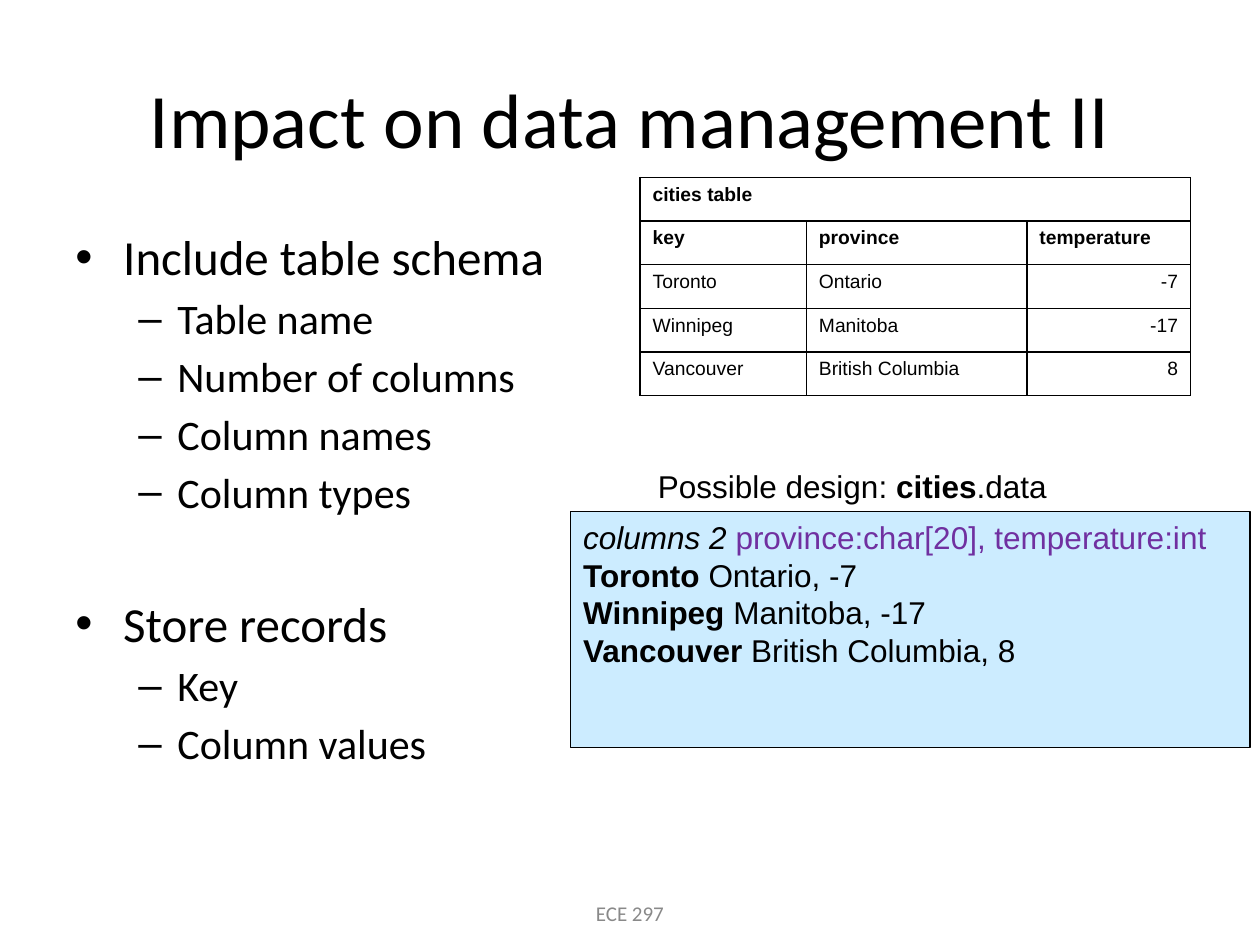
from dataclasses import dataclass
from lxml.etree import SubElement
from pptx import Presentation
from pptx.dml.color import RGBColor
from pptx.enum.shapes import MSO_SHAPE
from pptx.enum.text import MSO_ANCHOR, PP_ALIGN
from pptx.oxml.ns import qn
from pptx.util import Emu, Inches, Pt

WIDE, HIGH = 10, 7.5
HUES = {"ink": "000000", "gray": "898989", "type": "7030A0", "panel": "CCECFF"}


@dataclass
class Area:
    """A box given as shares of the slide's size."""
    x: float
    y: float
    w: float
    h: float

    def spans(self) -> list[Emu]:
        return [Inches(self.x * WIDE), Inches(self.y * HIGH),
                Inches(self.w * WIDE), Inches(self.h * HIGH)]


@dataclass
class Run:
    text: str
    bold: bool = False
    slant: bool = False
    hue: str = "ink"


@dataclass
class Point:
    text: str
    level: int = 1
    gap: float = 4.2


@dataclass
class Level:
    mark: str
    size: int
    left: float
    hang: float


LEVELS = [Level("•", 28, 0.38, 0.38), Level("–", 24, 0.81, 0.31)]
POINTS = [
    Point("Include table schema", 0, 0),
    Point("Table name"),
    Point("Number of columns"),
    Point("Column names"),
    Point("Column types"),
    Point("Store records", 0, 44),
    Point("Key"),
    Point("Column values"),
]
CITIES = [
    ("Toronto", "Ontario", "-7"),
    ("Winnipeg", "Manitoba", "-17"),
    ("Vancouver", "British Columbia", "8"),
]
COLS = [1.32, 1.75, 1.3]


def paint(fill, hue: str) -> None:
    fill.solid()
    fill.fore_color.rgb = RGBColor.from_string(HUES[hue])


def write(para, *runs: Run, size: float = 18, face: str = "Arial",
          align=PP_ALIGN.LEFT) -> None:
    """Add formatted runs to a paragraph."""
    para.alignment = align
    for part in runs:
        run = para.add_run()
        run.text = part.text
        font = run.font
        font.name, font.size = face, Pt(size)
        font.bold, font.italic = part.bold, part.slant
        font.color.rgb = RGBColor.from_string(HUES[part.hue])


def add_box(slide, area: Area, anchor=MSO_ANCHOR.TOP):
    frame = slide.shapes.add_textbox(*area.spans()).text_frame
    frame.word_wrap = True
    frame.vertical_anchor = anchor
    return frame


def add_para(frame, index: int):
    return frame.add_paragraph() if index else frame.paragraphs[0]


def add_list(slide, area: Area, points: list[Point]) -> None:
    frame = add_box(slide, area)
    for i, point in enumerate(points):
        para, level = add_para(frame, i), LEVELS[point.level]
        para.level = point.level
        para.space_before = Pt(point.gap)
        props = para._p.get_or_add_pPr()
        props.set("marL", str(Inches(level.left)))
        props.set("indent", str(-Inches(level.hang)))
        SubElement(props, qn("a:buFont"), typeface="Arial")
        SubElement(props, qn("a:buChar"), char=level.mark)
        write(para, Run(point.text), size=level.size, face="Calibri")


def add_rules(cell) -> None:
    """Draw the four borders of a cell, ahead of its fill."""
    props = cell._tc.get_or_add_tcPr()
    for side in ("lnL", "lnR", "lnT", "lnB"):
        line = SubElement(props, qn(f"a:{side}"), w=str(Pt(1)))
        fill = SubElement(line, qn("a:solidFill"))
        SubElement(fill, qn("a:srgbClr"), val=HUES["ink"])
    cell.fill.background()


def add_grid(slide, area: Area) -> None:
    rows = [("cities table", "", ""), ("key", "province", "temperature"), *CITIES]
    shape = slide.shapes.add_table(len(rows), len(COLS), *area.spans())
    table = shape.table
    table.first_row = table.horz_banding = False
    for col, width in zip(table.columns, COLS):
        col.width = Inches(width)
    table.cell(0, 0).merge(table.cell(0, len(COLS) - 1))
    for r, row in enumerate(rows):
        for c, text in enumerate(row):
            cell = table.cell(r, c)
            add_rules(cell)
            if text:
                right = r > 1 and c == 2
                write(cell.text_frame.paragraphs[0], Run(text, bold=r < 2), size=11,
                      align=PP_ALIGN.RIGHT if right else PP_ALIGN.LEFT)


def add_panel(slide, area: Area) -> None:
    panel = slide.shapes.add_shape(MSO_SHAPE.RECTANGLE, *area.spans())
    panel.shadow.inherit = False
    paint(panel.fill, "panel")
    paint(panel.line.fill, "ink")
    panel.line.width = Pt(0.75)
    frame = panel.text_frame
    frame.word_wrap = True
    frame.vertical_anchor = MSO_ANCHOR.TOP
    write(frame.paragraphs[0], Run("columns 2 ", slant=True),
          Run("province:char[20], temperature:int", hue="type"))
    for city, place, temp in CITIES:
        write(frame.add_paragraph(), Run(f"{city} ", bold=True), Run(f"{place}, {temp}"))


def main() -> None:
    deck = Presentation()
    deck.slide_width, deck.slide_height = Inches(WIDE), Inches(HIGH)
    slide = deck.slides.add_slide(deck.slide_layouts[6])
    mid = PP_ALIGN.CENTER

    # Title and outline
    title = add_box(slide, Area(0.05, 0.04, 0.9, 0.17), MSO_ANCHOR.MIDDLE)
    write(title.paragraphs[0], Run("Impact on data management II"),
          size=44, face="Calibri", align=mid)
    add_list(slide, Area(0.05, 1.75 / HIGH, 0.43, 0.66), POINTS)

    # Footer
    foot = add_box(slide, Area(0.34, 6.95 / HIGH, 0.32, 0.4 / HIGH), MSO_ANCHOR.BOTTOM)
    foot.margin_bottom = 0
    write(foot.paragraphs[0], Run("ECE 297", hue="gray"),
          size=12, face="Calibri", align=mid)

    # Table and its stored form
    add_grid(slide, Area(0.508, 1.41 / HIGH, sum(COLS) / WIDE, 1.73 / HIGH))
    add_panel(slide, Area(0.453, 4.06 / HIGH, 0.539, 0.25))
    label = add_box(slide, Area(0.451, 3.66 / HIGH, 0.451, 0.4 / HIGH))
    write(label.paragraphs[0], Run("Possible design: "), Run("cities", bold=True),
          Run(".data"), align=mid)

    deck.save("out.pptx")


if __name__ == "__main__":
    main()
